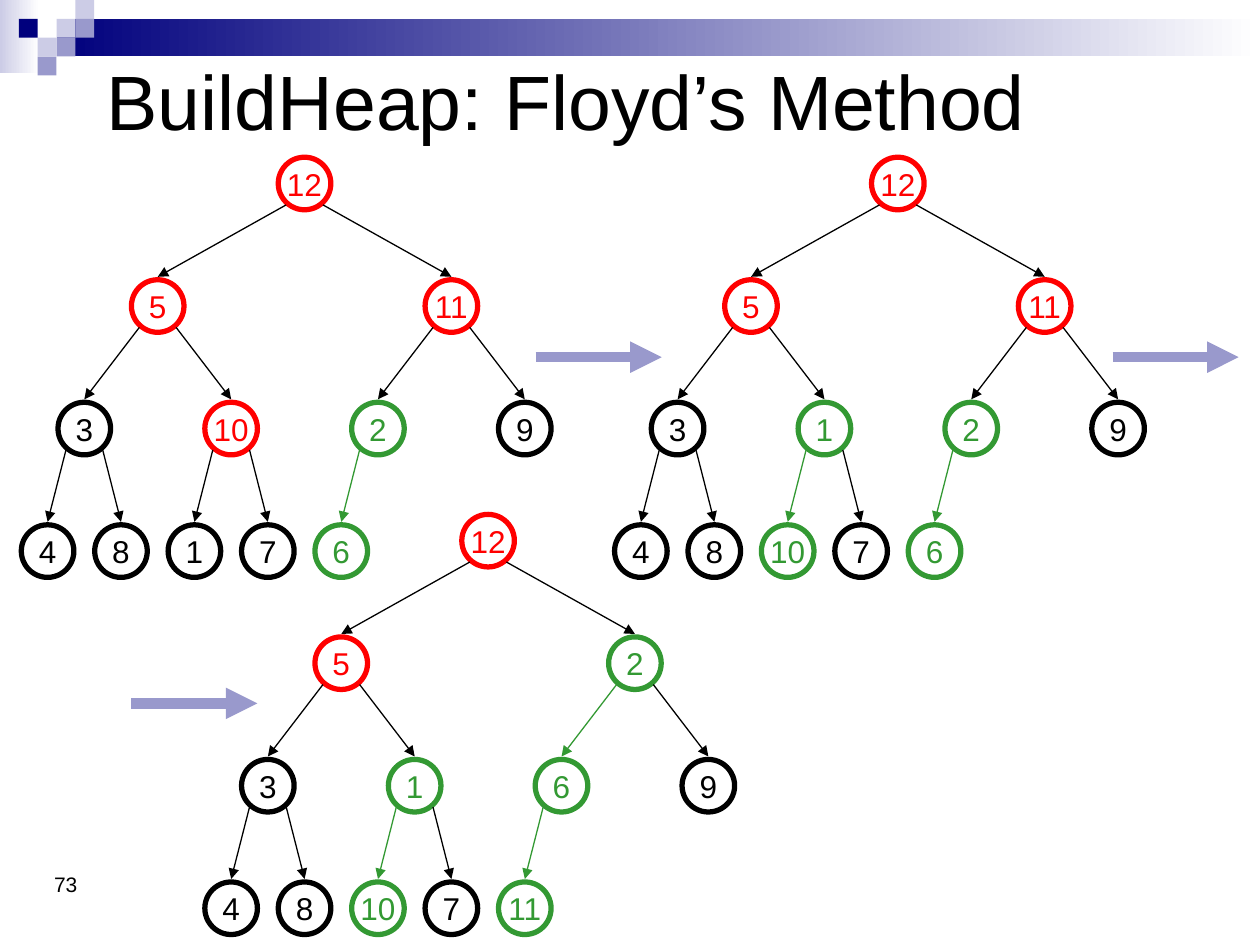
from lxml.etree import SubElement
from pptx import Presentation
from pptx.dml.color import RGBColor
from pptx.enum.shapes import MSO_CONNECTOR, MSO_SHAPE
from pptx.enum.text import MSO_ANCHOR, PP_ALIGN
from pptx.oxml.ns import qn
from pptx.util import Cm, Pt

BLACK, RED, GREEN = "000000", "FF0000", "339933"
NAVY, LILAC, PALE, WHITE = "00007D", "9999CC", "CCCCE6", "FFFFFF"
FONT = "Arial"

DIAMETER = 1.06
LEAF_PITCH = 1.48
LEVEL_PITCH = 2.47
LEAF_SLOTS = 8
EDGE_START_X, EDGE_START_Y = 0.37, 0.43
EDGE_END_GAP = 0.59
TILE = 0.38

# Tiles of the corner pattern: column, row, colour
TILES = [(3, 1, PALE), (4, 0, PALE), (4, 1, LILAC), (2, 2, PALE),
         (1, 1, NAVY), (3, 2, LILAC), (2, 3, LILAC)]

# Root centre x, y, then the heap in level order, with red and green values
HEAPS = [
    (6.14, 3.7, [12, 5, 11, 3, 10, 2, 9, 4, 8, 1, 7, 6], {12, 5, 11, 10}, {2, 6}),
    (18.1, 3.7, [12, 5, 11, 3, 1, 2, 9, 4, 8, 10, 7, 6], {12, 5, 11}, {1, 2, 10, 6}),
    (9.84, 10.9, [12, 5, 2, 3, 1, 6, 9, 4, 8, 10, 7, 11], {12, 5}, {2, 1, 6, 10, 11}),
]

# Left end of each step arrow
STEP_ARROWS = [(10.8, 7.2), (22.43, 7.2), (2.65, 14.18)]
STEP_LENGTH = 2.54


def color(hex_string):
    return RGBColor.from_string(hex_string)


def set_font(paragraph, size, hex_string):
    paragraph.font.name = FONT
    paragraph.font.size = Pt(size)
    paragraph.font.color.rgb = color(hex_string)


def add_rectangle(slide, left, top, width, height, start, end=None):
    """Plain rectangle, or a left-to-right gradient when end is given."""
    shape = slide.shapes.add_shape(
        MSO_SHAPE.RECTANGLE, Cm(left), Cm(top), Cm(width), Cm(height))
    shape.shadow.inherit = False
    shape.line.fill.background()
    if end is None:
        shape.fill.solid()
        shape.fill.fore_color.rgb = color(start)
        return
    shape.fill.gradient()
    shape.fill.gradient_angle = 0
    for stop, hex_string in zip(shape.fill.gradient_stops, (start, end)):
        stop.color.rgb = color(hex_string)


def add_text(slide, text, left, top, width, height, size, anchor):
    box = slide.shapes.add_textbox(Cm(left), Cm(top), Cm(width), Cm(height))
    frame = box.text_frame
    frame.word_wrap = True
    frame.vertical_anchor = anchor
    frame.text = text
    set_font(frame.paragraphs[0], size, BLACK)


def add_arrow(slide, start, end, hex_string, width):
    connector = slide.shapes.add_connector(
        MSO_CONNECTOR.STRAIGHT, *(Cm(value) for value in (*start, *end)))
    connector.line.color.rgb = color(hex_string)
    connector.line.width = Pt(width)
    SubElement(connector.line._get_or_add_ln(), qn("a:tailEnd"), type="triangle")
    SubElement(connector._element.spPr, qn("a:effectLst"))


def add_node(slide, center, value, hex_string):
    x, y = center
    shape = slide.shapes.add_shape(
        MSO_SHAPE.OVAL, Cm(x - DIAMETER / 2), Cm(y - DIAMETER / 2),
        Cm(DIAMETER), Cm(DIAMETER))
    shape.shadow.inherit = False
    shape.fill.background()
    shape.line.color.rgb = color(hex_string)
    shape.line.width = Pt(3)
    frame = shape.text_frame
    frame.word_wrap = False
    frame.vertical_anchor = MSO_ANCHOR.MIDDLE
    frame.text = str(value)
    frame.paragraphs[0].alignment = PP_ALIGN.CENTER
    set_font(frame.paragraphs[0], 18, hex_string)


def node_center(index, root_x, root_y):
    """Centre of a node, with each level spread evenly over the leaf slots."""
    level = (index + 1).bit_length() - 1
    count = 2 ** level
    column = index + 1 - count
    slot = (column + 0.5) * LEAF_SLOTS / count - LEAF_SLOTS / 2
    return root_x + slot * LEAF_PITCH, root_y + level * LEVEL_PITCH


def add_heap(slide, root_x, root_y, values, red, green):
    centers = [node_center(index, root_x, root_y) for index in range(len(values))]
    for center, value in zip(centers, values):
        hex_string = RED if value in red else GREEN if value in green else BLACK
        add_node(slide, center, value, hex_string)
    for child in range(1, len(values)):
        parent = (child - 1) // 2
        parent_x, parent_y = centers[parent]
        child_x, child_y = centers[child]
        side = -1 if child % 2 else 1
        moved = {values[parent], values[child]} <= green
        add_arrow(slide,
                  (parent_x + side * EDGE_START_X, parent_y + EDGE_START_Y),
                  (child_x, child_y - EDGE_END_GAP),
                  GREEN if moved else BLACK, 0.75)


def add_header(slide):
    add_rectangle(slide, 0, 0, 0.79, 1.47, PALE, WHITE)
    add_rectangle(slide, 1.14, 0.38, 24.26, 0.76, NAVY, WHITE)
    for column, row, hex_string in TILES:
        add_rectangle(slide, column * TILE, row * TILE, TILE, TILE, hex_string)


def main():
    presentation = Presentation()
    presentation.slide_width = Cm(25.4)
    presentation.slide_height = Cm(19.05)
    slide = presentation.slides.add_slide(presentation.slide_layouts[6])

    add_header(slide)
    add_text(slide, "73", 0.84, 16.89, 5.92, 1.32, 12, MSO_ANCHOR.BOTTOM)
    add_text(slide, "BuildHeap: Floyd’s Method", 1.9, 0.43, 21.59, 3.18, 44,
             MSO_ANCHOR.MIDDLE)
    for heap in HEAPS:
        add_heap(slide, *heap)
    for x, y in STEP_ARROWS:
        add_arrow(slide, (x, y), (x + STEP_LENGTH, y), LILAC, 6)

    presentation.save("out.pptx")


if __name__ == "__main__":
    main()
